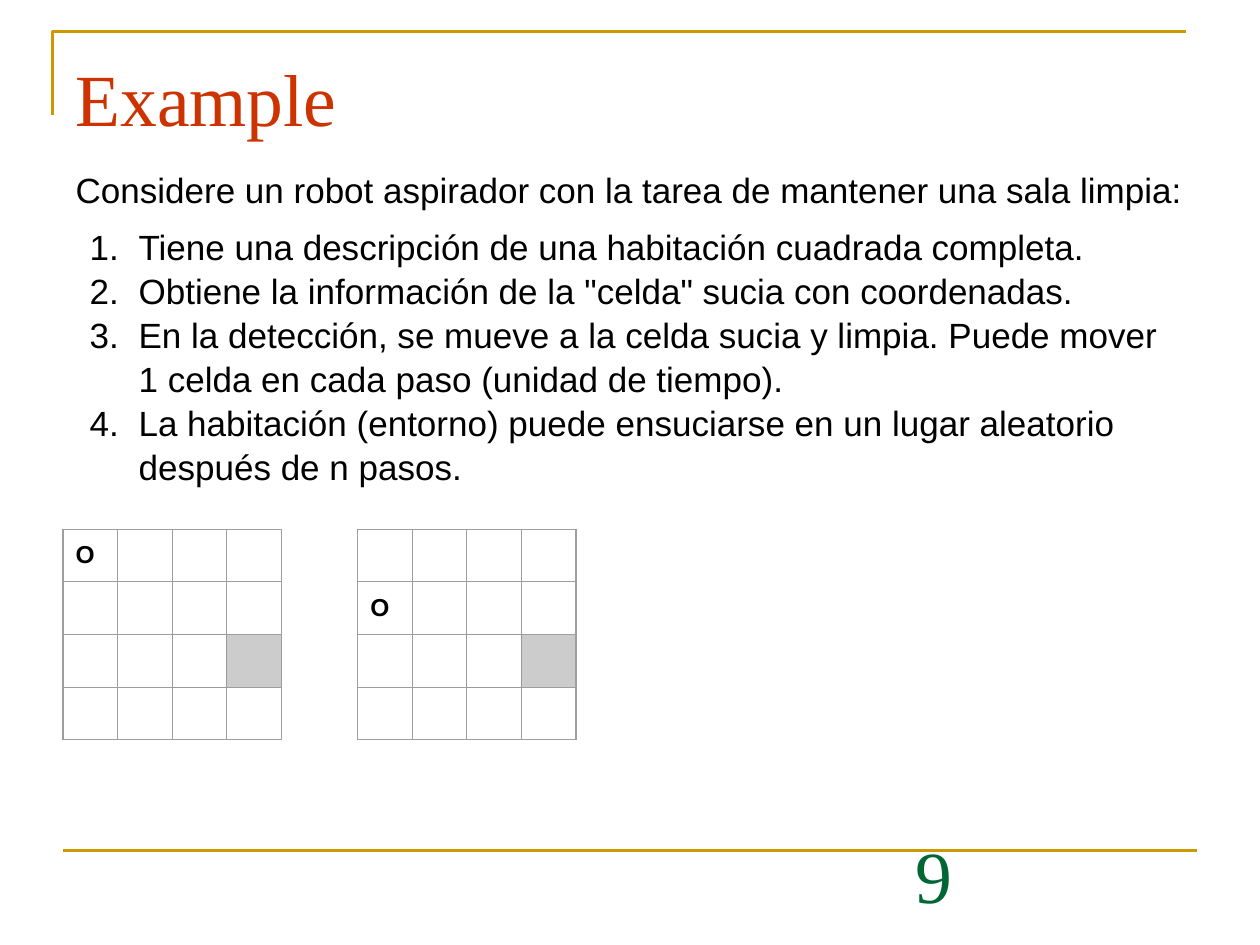
from lxml import etree
from pptx import Presentation
from pptx.dml.color import RGBColor
from pptx.enum.shapes import MSO_CONNECTOR
from pptx.enum.text import MSO_ANCHOR, MSO_AUTO_SIZE, PP_ALIGN
from pptx.oxml.ns import qn
from pptx.util import Pt

LINE = MSO_CONNECTOR.STRAIGHT
TOP, BOTTOM = MSO_ANCHOR.TOP, MSO_ANCHOR.BOTTOM
LEFT = PP_ALIGN.LEFT
NO_FIT = MSO_AUTO_SIZE.NONE

SERIF, SANS = "Times New Roman", "Arial"
GOLD, RED, GREEN, BLACK = "CC9900", "CC3300", "006633", "000000"
GRID, DARK, DIRT, WHITE = "9E9E9E", "999999", "CCCCCC", "FFFFFF"

LEAD = "Considere un robot aspirador con la tarea de mantener una sala limpia:"
STEPS = [
    "Tiene una descripción de una habitación cuadrada completa.",
    'Obtiene la información de la "celda" sucia con coordenadas.',
    "En la detección, se mueve a la celda sucia y limpia. "
    "Puede mover 1 celda en cada paso (unidad de tiempo).",
    "La habitación (entorno) puede ensuciarse en un lugar aleatorio "
    "después de n pasos.",
]

SIZE = 4                # cells along each side of a room
CELL_W, CELL_H = 31.2, 30.1
MID, DIRTY = (2, 2), (2, 3)
SIDES = {"L": (0, -1), "R": (0, 1), "T": (-1, 0), "B": (1, 0)}


def color(code):
    return RGBColor.from_string(code)


def place(shape, x, y, w, h):
    shape.left, shape.top, shape.width, shape.height = Pt(x), Pt(y), Pt(w), Pt(h)


def style(par, size, face, code, bold=False):
    for run in par.runs:
        run.font.size, run.font.name, run.font.bold = Pt(size), face, bold
        run.font.color.rgb = color(code)


def stroke(line):
    line.color.rgb = color(GOLD)
    line.width = Pt(1.5)


def add_frame(slide):
    # Corner rule above the title
    pen = slide.shapes.build_freeform(Pt(30), Pt(66))
    pen.add_line_segments([(Pt(30), Pt(18)), (Pt(678), Pt(18))], close=False)
    edge = pen.convert_to_shape()
    edge.shadow.inherit = False
    edge.fill.background()
    stroke(edge.line)
    # Rule above the footer
    rule = slide.shapes.add_connector(LINE, Pt(36), Pt(486), Pt(684), Pt(486))
    stroke(rule.line)
    etree.SubElement(rule._element.spPr, qn("a:effectLst"))


def fill_text(shape, text, anchor, code, space=1.0):
    frame = shape.text_frame
    frame.text = text
    frame.word_wrap = True
    frame.auto_size = NO_FIT
    frame.vertical_anchor = anchor
    par = frame.paragraphs[0]
    par.alignment = LEFT
    par.line_spacing = space
    style(par, 42, SERIF, code)


def set_bullet(par, step):
    props = par._p.get_or_add_pPr()
    props.set("marL", str(Pt(36) if step else 0))
    props.set("indent", str(Pt(-28) if step else 0))
    if not step:
        etree.SubElement(props, qn("a:buNone"))
        return
    tint = etree.SubElement(props, qn("a:buClr"))
    etree.SubElement(tint, qn("a:srgbClr"), val=BLACK)
    etree.SubElement(props, qn("a:buFont"), typeface=SANS)
    etree.SubElement(props, qn("a:buAutoNum"), type="arabicPeriod")


def fill_body(shape):
    frame = shape.text_frame
    frame.text = "\n".join([LEAD] + STEPS)
    frame.auto_size = NO_FIT
    frame.vertical_anchor = TOP
    for i, par in enumerate(frame.paragraphs):
        par.alignment = LEFT
        par.line_spacing = 1.05
        par.space_before = Pt(7 if i < 2 else 0)
        set_bullet(par, i > 0)
        style(par, 20, SANS, BLACK)


def set_border(cell, spot):
    props = cell._tc.get_or_add_tcPr()
    for side, (down, over) in SIDES.items():
        near = (spot[0] + down, spot[1] + over)
        line = etree.SubElement(props, qn("a:ln" + side), w=str(Pt(0.75)))
        fill = etree.SubElement(line, qn("a:solidFill"))
        code = DARK if MID in (spot, near) else GRID
        etree.SubElement(fill, qn("a:srgbClr"), val=code)


def add_room(slide, x, robot):
    table = slide.shapes.add_table(SIZE, SIZE, Pt(x), Pt(302.4),
                                   Pt(SIZE * CELL_W), Pt(SIZE * CELL_H)).table
    table.first_row = table.horz_banding = False
    for i in range(SIZE):
        table.columns[i].width, table.rows[i].height = Pt(CELL_W), Pt(CELL_H)
    fills = {MID: WHITE, DIRTY: DIRT}
    for r in range(SIZE):
        for c in range(SIZE):
            cell, spot = table.cell(r, c), (r, c)
            set_border(cell, spot)
            if spot in fills:
                cell.fill.solid()
                cell.fill.fore_color.rgb = color(fills[spot])
            else:
                cell.fill.background()
            if spot == robot:
                cell.margin_left = cell.margin_right = Pt(7.2)
                cell.margin_top = cell.margin_bottom = Pt(7)
                cell.text_frame.text = "O"
                style(cell.text_frame.paragraphs[0], 14, SANS, BLACK, True)


def main():
    deck = Presentation()
    deck.slide_width, deck.slide_height = Pt(720), Pt(540)
    slide = deck.slides.add_slide(deck.slide_layouts[1])
    add_frame(slide)

    # Slide number
    num = slide.shapes.add_textbox(Pt(516), Pt(492), Pt(168), Pt(36))
    fill_text(num, "9", BOTTOM, GREEN)

    # Title and list
    title, body = slide.shapes.title, slide.placeholders[1]
    place(title, 36, 21.6, 648, 90)
    fill_text(title, "Example", TOP, RED, 1.1)
    place(body, 36, 91.6, 648, 301)
    fill_body(body)

    # Rooms before and after one move
    add_room(slide, 36, (0, 0))
    add_room(slide, 204.4, (1, 0))
    deck.save("out.pptx")


if __name__ == "__main__":
    main()
